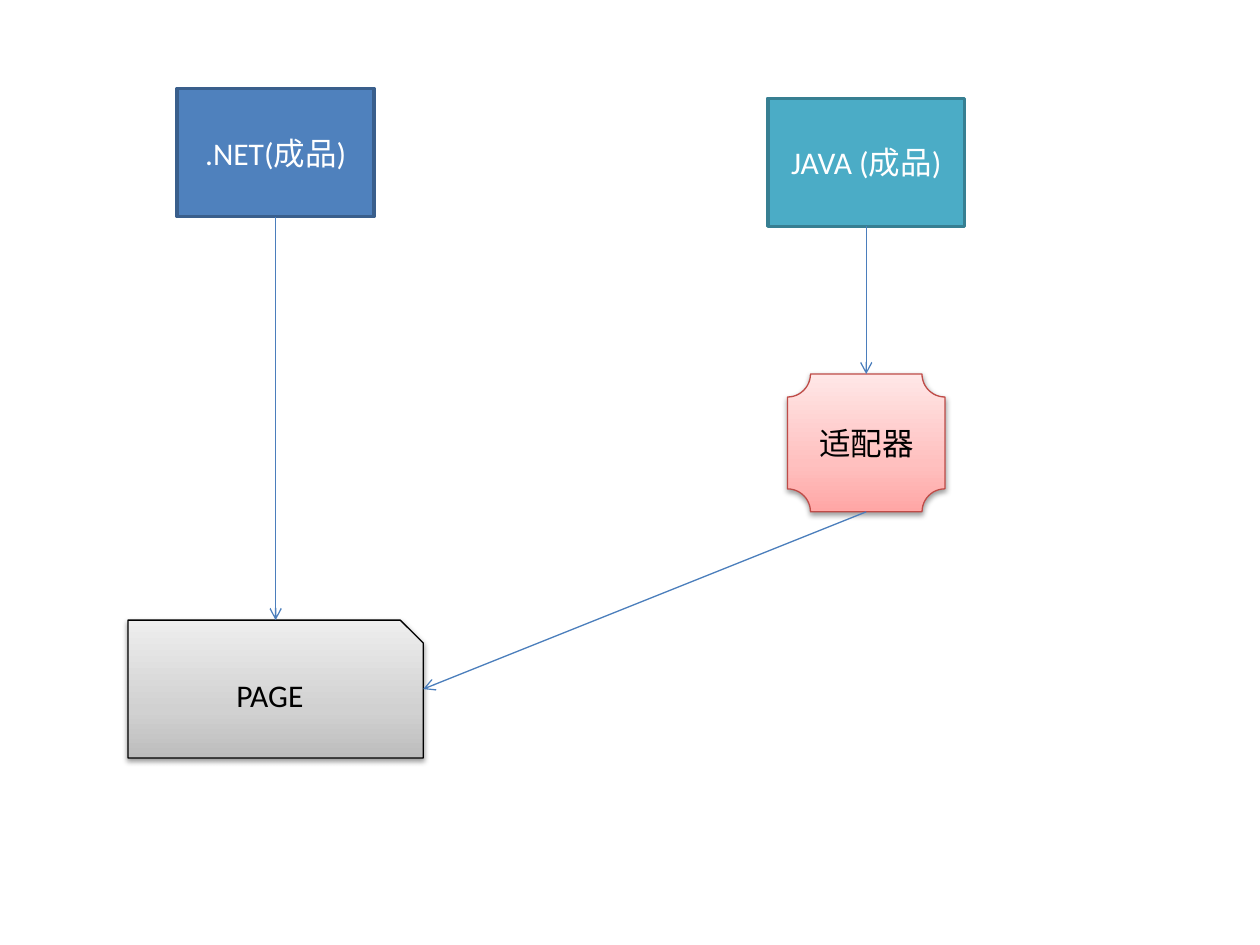
from dataclasses import dataclass

from lxml import etree
from pptx import Presentation
from pptx.dml.color import RGBColor
from pptx.enum.shapes import MSO_CONNECTOR, MSO_SHAPE
from pptx.enum.text import MSO_ANCHOR, PP_ALIGN
from pptx.oxml.ns import qn
from pptx.util import Inches, Pt

RECT, SNIP, PLAQUE = MSO_SHAPE.RECTANGLE, MSO_SHAPE.SNIP_1_RECTANGLE, MSO_SHAPE.PLAQUE
STRAIGHT = MSO_CONNECTOR.STRAIGHT
MIDDLE, CENTER = MSO_ANCHOR.MIDDLE, PP_ALIGN.CENTER
TOP, BOTTOM = 0, 2


@dataclass
class Theme:
    font: str = "Calibri"
    size: int = 18
    light: str = "FFFFFF"
    dark: str = "000000"
    link: str = "4B7EBC"
    thin: float = 0.75
    thick: float = 2
    blue: tuple = ("4F81BD",)
    teal: tuple = ("4BACC6",)
    grey: tuple = ("BDBDBD", "D1D1D1", "EEEEEE")
    red: tuple = ("FFA6A5", "FFC0BF", "FFE7E7")
    stops: tuple = (0, 35, 100)


theme = Theme()

# Slide on a grid of 128 columns by 96 rows
deck = Presentation()
deck.slide_width, deck.slide_height = Inches(10), Inches(7.5)
slide = deck.slides.add_slide(deck.slide_layouts[6])
cell = deck.slide_width / 128


def grid(*counts):
    return [round(count * cell) for count in counts]


def add_xml(parent, tag, **attrs):
    return etree.SubElement(parent, qn(tag), {key: str(val) for key, val in attrs.items()})


# Boxes: name, shape, column, row, width, height, fill, edge, text
boxes = [
    ("net", RECT, 18, 9, 20, 13, theme.blue, "3A5F8C", ".NET(成品)"),
    ("java", RECT, 78, 10, 20, 13, theme.teal, "377F92", "JAVA (成品)"),
    ("page", SNIP, 13, 63, 30, 14, theme.grey, "000000", "PAGE"),
    ("adapter", PLAQUE, 80, 38, 16, 14, theme.red, "BF4C48", "适配器"),
]
parts = {}
for name, kind, col, row, wide, high, tones, edge, text in boxes:
    box = parts[name] = slide.shapes.add_shape(kind, *grid(col, row, wide, high))
    flat = len(tones) == 1
    box.line.color.rgb = RGBColor.from_string(edge)
    box.line.width = Pt(theme.thick if flat else theme.thin)
    box.shadow.inherit = False

    if flat:
        box.fill.solid()
        box.fill.fore_color.rgb = RGBColor.from_string(tones[0])
    else:
        # Three-tone fill that runs upward
        box.fill.gradient()
        box.fill.gradient_angle = 90
        shape_xml = box.element.spPr
        stops = shape_xml.find(qn("a:gradFill")).find(qn("a:gsLst"))
        for old in list(stops):
            stops.remove(old)
        for share, tone in zip(theme.stops, tones):
            add_xml(add_xml(stops, "a:gs", pos=share * 1000), "a:srgbClr", val=tone)
        # Soft shadow below
        shade = add_xml(shape_xml.find(qn("a:effectLst")), "a:outerShdw", blurRad=Pt(3.1),
                        dist=Pt(1.6), dir=90 * 60000, rotWithShape=0)
        add_xml(add_xml(shade, "a:srgbClr", val=theme.dark), "a:alpha", val=38000)

    frame = box.text_frame
    frame.text = text
    frame.vertical_anchor = MIDDLE
    line = frame.paragraphs[0]
    line.alignment = CENTER
    font = line.runs[0].font
    font.name, font.size = theme.font, Pt(theme.size)
    font.color.rgb = RGBColor.from_string(theme.light if flat else theme.dark)

# Arrows: source, target if joined, end points on the grid
arrows = [
    ("net", None, 28, 22, 28, 63),
    ("java", "adapter", 88, 23, 88, 38),
    ("adapter", None, 88, 52, 43, 70),
]
for start, end, *ends in arrows:
    arrow = slide.shapes.add_connector(STRAIGHT, *grid(*ends))
    arrow.begin_connect(parts[start], BOTTOM)
    if end:
        arrow.end_connect(parts[end], TOP)
    arrow.line.color.rgb = RGBColor.from_string(theme.link)
    arrow.line.width = Pt(theme.thin)
    add_xml(arrow.line._get_or_add_ln(), "a:tailEnd", type="arrow")
    add_xml(arrow.element.spPr, "a:effectLst")

deck.save("out.pptx")
